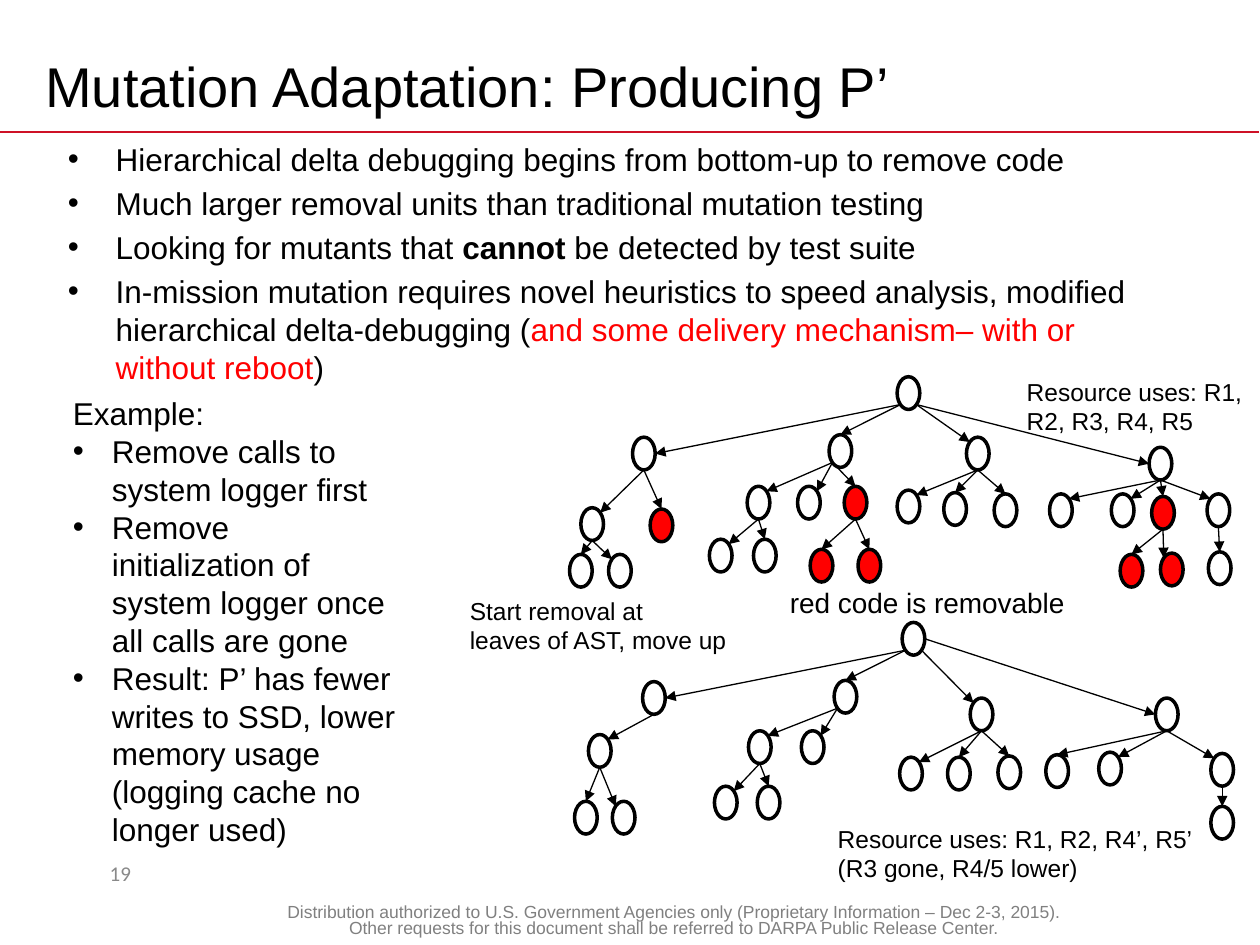
from lxml.etree import SubElement
from pptx import Presentation
from pptx.dml.color import RGBColor
from pptx.enum.shapes import MSO_CONNECTOR, MSO_SHAPE
from pptx.enum.text import MSO_ANCHOR, PP_ALIGN
from pptx.oxml.ns import qn
from pptx.util import Inches, Pt

BLACK = RGBColor(0, 0, 0)
WHITE = RGBColor(255, 255, 255)
RED = RGBColor(255, 0, 0)
RULE = RGBColor(0xCE, 0x11, 0x26)
GRAY = RGBColor(0x80, 0x80, 0x80)
PALE = RGBColor(0x89, 0x89, 0x89)

prs = Presentation()
prs.slide_width, prs.slide_height = Inches(10), Inches(7.5)
slide = prs.slides.add_slide(prs.slide_layouts[5])
shapes = slide.shapes


def add_text(area, paras, size, color=BLACK, indent=0, wrap=True):
    """Add a text box; a paragraph is a list of runs, bulleted if it starts with •."""
    box = shapes.add_textbox(*[Inches(v) for v in area])
    frame = box.text_frame
    frame.word_wrap = wrap
    for i, runs in enumerate(paras):
        para = frame.paragraphs[0] if i == 0 else frame.add_paragraph()
        para.text = runs[0].removeprefix("•")
        if runs[0].startswith("•"):
            props = para._p.get_or_add_pPr()
            props.set("marL", str(Inches(indent)))
            props.set("indent", str(-Inches(indent)))
            SubElement(props, qn("a:buFont"), typeface="Arial")
            SubElement(props, qn("a:buChar"), char="•")
        for words in runs[1:]:
            para.add_run().text = words
        for run in para.runs:
            run.font.name, run.font.size = "Arial", Pt(size)
            run.font.color.rgb = color
    return frame


def add_line(start, end, color, width):
    line = shapes.add_connector(
        MSO_CONNECTOR.STRAIGHT, *[Inches(v) for v in (*start, *end)])
    line.line.color.rgb, line.line.width = color, Pt(width)
    SubElement(line._element.spPr, qn("a:effectLst"))
    return line


# Title, rule and footer
title = shapes.title
title.left, title.top = Inches(0.26), Inches(0.3)
title.width, title.height = Inches(9), Inches(0.75)
title.text_frame.text = "Mutation Adaptation: Producing P’"
title.text_frame.vertical_anchor = MSO_ANCHOR.MIDDLE
head = title.text_frame.paragraphs[0]
head.alignment = PP_ALIGN.LEFT
head.font.name, head.font.size = "Arial", Pt(32)
head.font.color.rgb = BLACK

add_line((0, 1.05), (9.99, 1.05), RULE, 1)

foot = add_text((2.11, 7.13, 6.47, 0.31), [[
    "Distribution authorized to U.S. Government Agencies only (Proprietary "
    "Information – Dec 2-3, 2015). Other requests for this document shall be "
    "referred to DARPA Public Release Center."]], 10, GRAY).paragraphs[0]
foot.alignment, foot.line_spacing = PP_ALIGN.CENTER, 0.8

page = add_text((0.26, 6.73, 1.39, 0.4), [["19"]], 12, PALE)
page.vertical_anchor = MSO_ANCHOR.MIDDLE
page.paragraphs[0].alignment = PP_ALIGN.CENTER
page.paragraphs[0].runs[0].font.name = "Calibri"

# Main points
points = add_text((0.44, 1.06, 9, 2.1), [
    ["•Hierarchical delta debugging begins from bottom-up to remove code"],
    ["•Much larger removal units than traditional mutation testing"],
    ["•Looking for mutants that ", "cannot ", "be detected by test suite"],
    ["•In-mission mutation requires novel heuristics to speed analysis, "
     "modified hierarchical delta-debugging (",
     "and some delivery mechanism– with or without reboot", ")"],
], 18, indent=0.38).paragraphs
for para in points[1:]:
    para.space_before = Pt(3.6)
points[2].runs[1].font.bold = True
points[3].runs[1].font.color.rgb = RED

# Syntax trees: name, left, top, site on parent, site on node, fill.
# A node's parent has the same name without the last letter.
WIDE, HIGH = 0.18, 0.26
SITES = {
    "T": (0.5, 0), "B": (0.5, 1), "L": (0, 0.5), "R": (1, 0.5),
    "TL": (0.15, 0.15), "TR": (0.85, 0.15),
    "BL": (0.15, 0.85), "BR": (0.85, 0.85),
}
BEFORE = [
    ("", 7.12, 2.99, None, None, WHITE),
    ("a", 5.02, 3.47, "BL", "R", WHITE),
    ("b", 6.58, 3.45, "BL", "T", WHITE),
    ("c", 7.67, 3.47, "BR", "TL", WHITE),
    ("d", 9.12, 3.55, "BR", "L", WHITE),
    ("aa", 4.61, 4.03, "B", "TR", WHITE),
    ("ab", 5.16, 4.04, "B", "T", RED),
    ("ba", 5.93, 3.86, "BL", "TR", WHITE),
    ("bb", 6.33, 3.86, "BL", "TR", WHITE),
    ("bc", 6.7, 3.86, "BL", "T", RED),
    ("ca", 7.12, 3.89, "B", "TR", WHITE),
    ("cb", 7.49, 3.91, "B", "T", WHITE),
    ("cc", 7.89, 3.92, "B", "T", WHITE),
    ("da", 8.33, 3.92, "B", "TR", WHITE),
    ("db", 8.82, 3.92, "B", "TR", WHITE),
    ("dc", 9.14, 3.94, "B", "T", RED),
    ("dd", 9.58, 3.92, "B", "TL", WHITE),
    ("aaa", 4.52, 4.4, "B", "T", WHITE),
    ("aab", 4.83, 4.4, "B", "TL", WHITE),
    ("baa", 5.63, 4.28, "B", "TR", WHITE),
    ("bab", 5.98, 4.28, "B", "T", WHITE),
    ("bca", 6.43, 4.36, "B", "T", RED),
    ("bcb", 6.81, 4.36, "B", "T", RED),
    ("dca", 8.89, 4.4, "B", "T", RED),
    ("dcb", 9.21, 4.39, "B", "TL", RED),
    ("dda", 9.59, 4.38, "B", "T", WHITE),
]
AFTER = [
    ("", 7.16, 4.94, None, None, WHITE),
    ("a", 5.1, 5.41, "BL", "R", WHITE),
    ("b", 6.62, 5.4, "BL", "T", WHITE),
    ("c", 7.7, 5.54, "BR", "TL", WHITE),
    ("d", 9.17, 5.54, "R", "L", WHITE),
    ("aa", 4.67, 5.83, "B", "TR", WHITE),
    ("ba", 5.94, 5.8, "BL", "TR", WHITE),
    ("bb", 6.36, 5.8, "BL", "TR", WHITE),
    ("ca", 7.14, 6.01, "B", "TR", WHITE),
    ("cb", 7.52, 6.01, "B", "T", WHITE),
    ("cc", 7.92, 6, "B", "T", WHITE),
    ("da", 8.3, 5.99, "B", "T", WHITE),
    ("db", 8.72, 5.97, "B", "TR", WHITE),
    ("dc", 9.61, 5.98, "B", "TL", WHITE),
    ("aaa", 4.56, 6.36, "B", "T", WHITE),
    ("aab", 4.86, 6.36, "B", "TL", WHITE),
    ("baa", 5.67, 6.24, "B", "TR", WHITE),
    ("bab", 6.01, 6.24, "B", "T", WHITE),
    ("dca", 9.61, 6.4, "B", "T", WHITE),
]
for tree in (BEFORE, AFTER):
    spots = {}
    for name, x, y, out, into, fill in tree:
        spots[name] = x, y
        node = shapes.add_shape(
            MSO_SHAPE.OVAL, Inches(x), Inches(y), Inches(WIDE), Inches(HIGH))
        node.shadow.inherit = False
        node.fill.solid()
        node.fill.fore_color.rgb = fill
        node.line.color.rgb, node.line.width = BLACK, Pt(2)
        if name:
            start, end = [
                (left + WIDE * SITES[site][0], top + HIGH * SITES[site][1])
                for (left, top), site in ((spots[name[:-1]], out), ((x, y), into))]
            edge = add_line(start, end, BLACK, 0.75)
            SubElement(edge.line._get_or_add_ln(), qn("a:tailEnd"), type="triangle")

# Captions and example
add_text((8.05, 2.94, 2.24, 0.57), [["Resource uses: R1, R2, R3, R4, R5"]], 14)
add_text((6.55, 6.49, 3.21, 0.57),
         [["Resource uses: R1, R2, R4’, R5’ (R3 gone, R4/5 lower)"]], 14)
add_text((0.48, 3.08, 2.76, 4.04), [
    ["Example:"],
    ["•Remove calls to system logger first"],
    ["•Remove initialization of system logger once all calls are gone"],
    ["•Result: P’ has fewer writes to SSD, lower memory usage "
     "(logging cache no longer used)"],
], 18, indent=0.31)
add_text((6.17, 4.6, 2.41, 0.37), [["red code is removable"]], 16, wrap=False)
add_text((3.63, 4.68, 2.25, 0.57),
         [["Start removal at\vleaves of AST, move up"]], 14, wrap=False)

prs.save("out.pptx")
